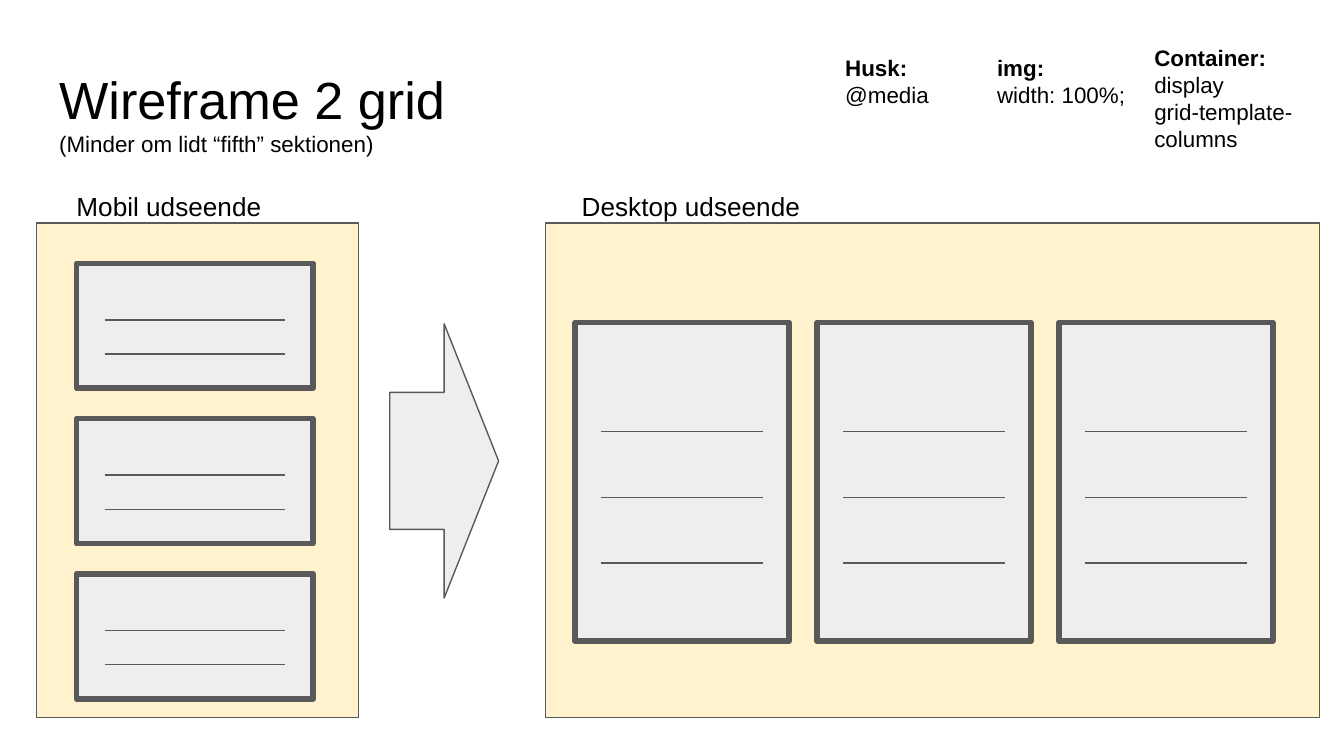
from lxml import etree
from pptx import Presentation
from pptx import util as u
from pptx.dml import color
from pptx.enum import shapes, text
from pptx.oxml import ns

IN = u.Inches
GREY, CREAM, LIGHT, BLACK = "595959", "FFF2CC", "EEEEEE", "000000"


def rgb(code):
    """Turn a hex string into a colour."""
    return color.RGBColor.from_string(code)


def stroke(item, width):
    """Give a shape or connector its grey line."""
    item.line.color.rgb = rgb(GREY)
    item.line.width = u.Pt(width)


def block(parent, kind, box, fill, width=0.75):
    """Add a filled shape with a round-joined outline."""
    item = parent.shapes.add_shape(kind, *map(IN, box))
    item.shadow.inherit = False
    item.fill.solid()
    item.fill.fore_color.rgb = rgb(fill)
    stroke(item, width)
    edge = item.element.spPr.find(ns.qn("a:ln"))
    etree.SubElement(edge, ns.qn("a:round"))


def rule(parent, left, right, y):
    """Add a thin level line."""
    item = parent.shapes.add_connector(
        shapes.MSO_CONNECTOR.STRAIGHT, IN(left), IN(y), IN(right), IN(y))
    stroke(item, 0.75)
    etree.SubElement(item.element.spPr, ns.qn("a:effectLst"))


def write(item, lines):
    """Fill a text frame with (words, size, bold) lines."""
    frame = item.text_frame
    frame.text = "\n".join(words for words, _, _ in lines)
    frame.word_wrap = True
    frame.auto_size = text.MSO_AUTO_SIZE.NONE
    frame.vertical_anchor = text.MSO_ANCHOR.TOP
    frame.margin_left = frame.margin_right = IN(0.1)
    frame.margin_top = frame.margin_bottom = IN(0.1)
    for para, (_, size, bold) in zip(frame.paragraphs, lines):
        para.alignment = text.PP_ALIGN.LEFT
        font = para.runs[0].font
        font.name, font.size, font.bold = "Arial", u.Pt(size), bold
        font.color.rgb = rgb(BLACK)


def label(slide, box, lines):
    """Add a text box."""
    write(slide.shapes.add_textbox(*map(IN, box)), lines)


def title(slide, box):
    """Place the title and its subtitle line."""
    item = slide.shapes.title
    item.left, item.top, item.width, item.height = map(IN, box)
    write(item, [("Wireframe 2 grid", 28, False),
                 ("(Minder om lidt “fifth” sektionen)", 12, False)])


def card(slide, box, first, step):
    """Group a thick frame with three text lines inside it."""
    x, y, w, h = box
    group = slide.shapes.add_group_shape()
    block(group, shapes.MSO_SHAPE.RECTANGLE, box, LIGHT, 3)
    for i in range(3):
        rule(group, x + 0.12 * w, x + 0.88 * w, y + first + i * step)


def mobile(slide, box):
    """Draw the phone layout: cards stacked in one column."""
    x, y, w, h = box
    block(slide, shapes.MSO_SHAPE.RECTANGLE, box, CREAM)
    label(slide, (x + 0.2, y - 0.34, 1.98, 0.47),
          [("Mobil udseende", 14, False)])
    for i in range(3):
        card(slide, (x + 0.3, y + 0.3 + i * 2.31 / 2, 1.76, 0.93),
             0.42, 0.51 / 2)


def desktop(slide, box):
    """Draw the desktop layout: cards side by side."""
    x, y, w, h = box
    block(slide, shapes.MSO_SHAPE.RECTANGLE, box, CREAM)
    label(slide, (x + 0.17, y - 0.34, 3.27, 0.47),
          [("Desktop udseende", 14, False)])
    for i in range(3):
        card(slide, (x + 0.22 + i * 1.8, y + 0.74, 1.59, 2.37), 0.81, 0.49)


def hints(slide, top):
    """Write the three CSS reminders at the upper right."""
    for x, lift, head, *body in (
            (6.19, 0, "Husk:", "@media"),
            (7.32, 0, "img:", "width: 100%;"),
            (8.49, 0.07, "Container:", "display", "grid-template-columns")):
        label(slide, (x, top - lift, 1.49, 1.09),
              [(head, 12, True)] + [(line, 12, False) for line in body])


def main():
    """Build and save the slide."""
    deck = Presentation()
    deck.slide_width, deck.slide_height = IN(10), IN(10 * 9 / 16)
    slide = deck.slides.add_slide(deck.slide_layouts[5])
    title(slide, (0.34, 0.4, 9.32, 0.63))
    desktop(slide, (4.06, 1.66, 5.76, 3.68))
    block(slide, shapes.MSO_SHAPE.RIGHT_ARROW, (2.9, 2.41, 0.81, 2.04), LIGHT)
    mobile(slide, (0.27, 1.66, 2.4, 3.68))
    hints(slide, 0.3)
    deck.save("out.pptx")


main()
